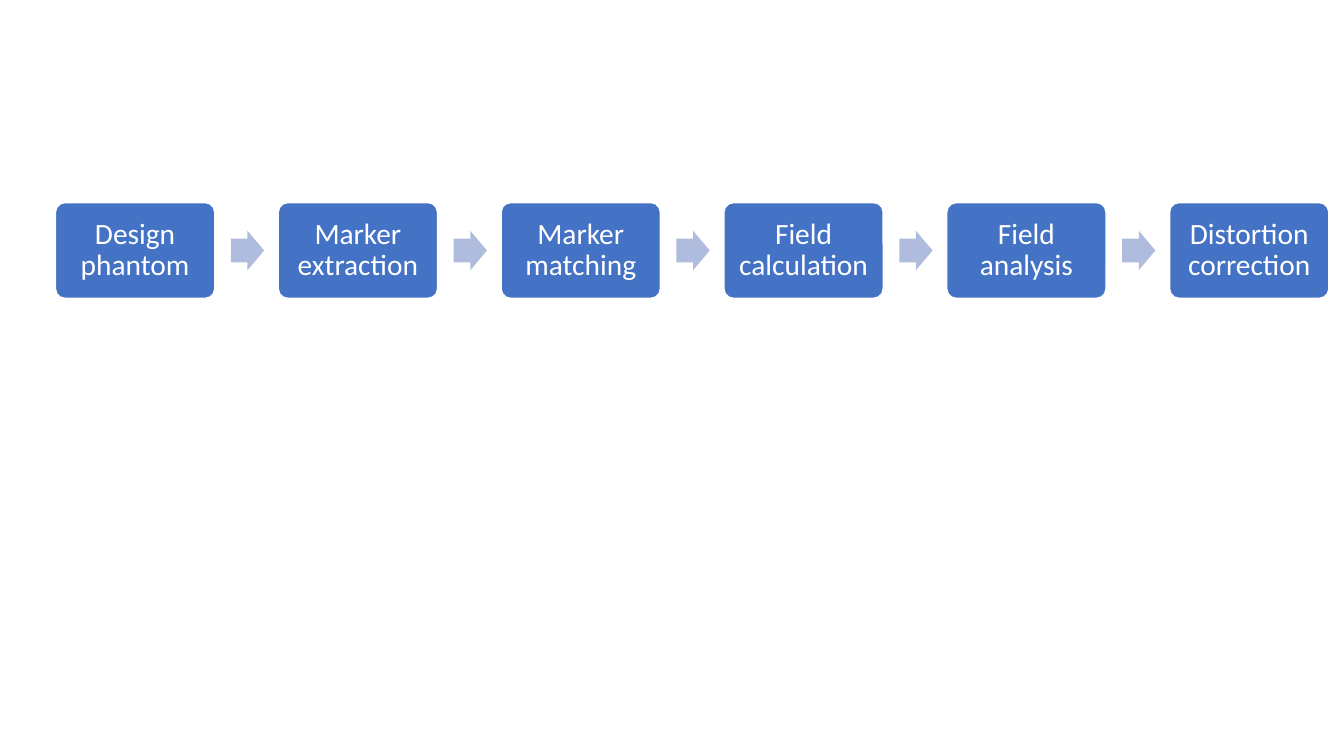
from pptx import Presentation
from pptx.dml.color import RGBColor
from pptx.enum.shapes import MSO_SHAPE as Preset
from pptx.enum.text import MSO_ANCHOR as Anchor, PP_ALIGN as Align
from pptx.util import Inches, Pt

BLUE = RGBColor(0x44, 0x72, 0xC4)
PALE_BLUE = RGBColor(0xB0, 0xBC, 0xDE)
WHITE = RGBColor(0xFF, 0xFF, 0xFF)

STEPS = ["Design phantom", "Marker extraction", "Marker matching",
         "Field calculation", "Field analysis", "Distortion correction"]
STEP_WIDTH = 1.58
ARROW_WIDTH, ARROW_HEIGHT = 0.33, 0.39
ARROW_GAP = 0.16


def add_filled_shape(slide, preset, left, top, width, height, color):
    shape = slide.shapes.add_shape(
        preset, Inches(left), Inches(top), Inches(width), Inches(height))
    shape.shadow.inherit = False
    shape.fill.solid()
    shape.fill.fore_color.rgb = color
    return shape


def add_step(slide, left, top, width, height, label):
    shape = add_filled_shape(
        slide, Preset.ROUNDED_RECTANGLE, left, top, width, height, BLUE)
    shape.adjustments[0] = 0.1
    shape.line.color.rgb = WHITE
    shape.line.width = Pt(1)

    frame = shape.text_frame
    frame.text = label
    frame.word_wrap = True
    frame.vertical_anchor = Anchor.MIDDLE
    frame.margin_left = frame.margin_right = Inches(0.09)
    frame.margin_top = frame.margin_bottom = Inches(0.09)
    paragraph = frame.paragraphs[0]
    paragraph.alignment = Align.CENTER
    paragraph.line_spacing = 0.9
    font = paragraph.runs[0].font
    font.name = "Calibri"
    font.size = Pt(21)
    font.color.rgb = WHITE


def add_arrow(slide, left, top, width, height):
    shape = add_filled_shape(
        slide, Preset.RIGHT_ARROW, left, top, width, height, PALE_BLUE)
    shape.adjustments[0] = 0.6
    shape.adjustments[1] = 0.5
    shape.line.fill.background()


def add_process(slide, left, top, width, height):
    pitch = (width - STEP_WIDTH) / (len(STEPS) - 1)
    arrow_top = top + (height - ARROW_HEIGHT) / 2
    for index, label in enumerate(STEPS):
        step_left = left + index * pitch
        add_step(slide, step_left, top, STEP_WIDTH, height, label)
        if index < len(STEPS) - 1:
            add_arrow(slide, step_left + STEP_WIDTH + ARROW_GAP, arrow_top,
                      ARROW_WIDTH, ARROW_HEIGHT)


def main():
    presentation = Presentation()
    presentation.slide_width = Inches(13.33)
    presentation.slide_height = Inches(7.5)
    slide = presentation.slides.add_slide(presentation.slide_layouts[6])
    add_process(slide, 0.55, 2.01, 12.63, 0.95)
    presentation.save("out.pptx")


if __name__ == "__main__":
    main()
